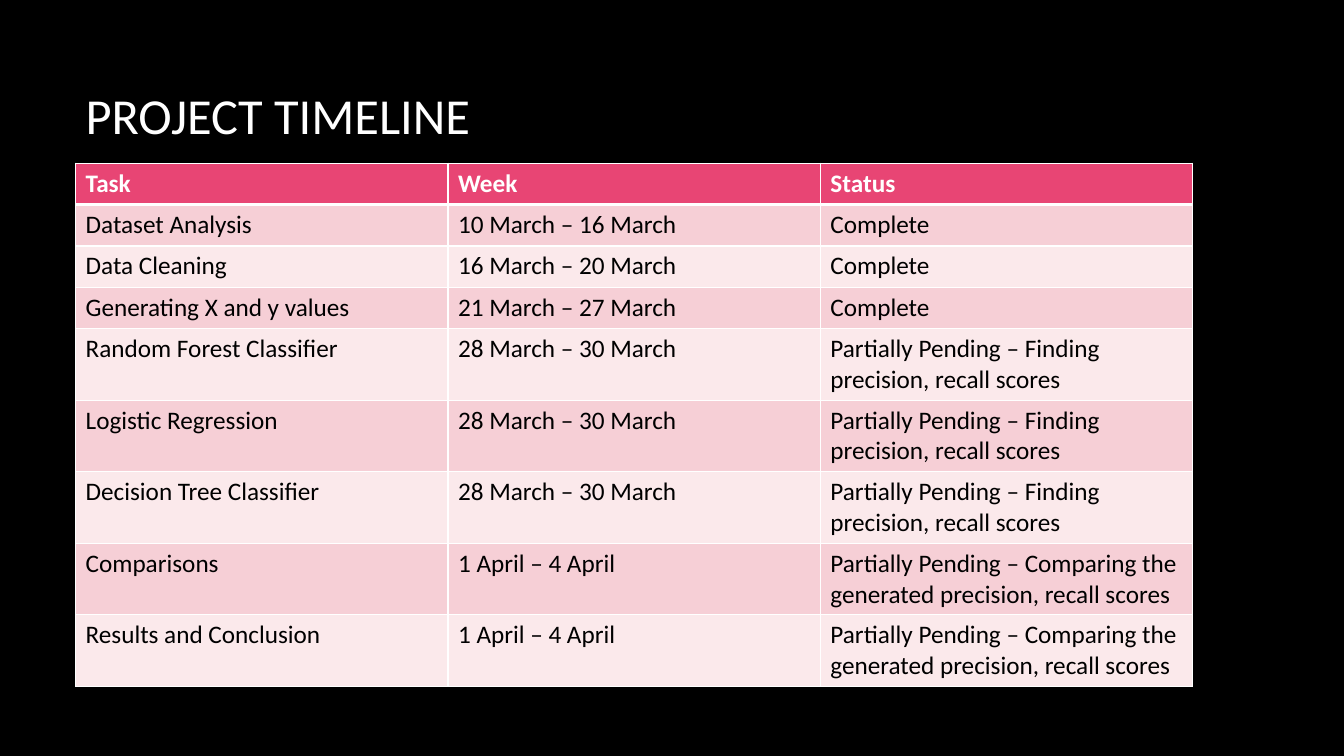
from dataclasses import dataclass

from lxml.etree import SubElement
from pptx import Presentation
from pptx.dml.color import RGBColor as Color
from pptx.enum.text import MSO_ANCHOR as Anchor
from pptx.oxml.ns import qn
from pptx.util import Inches, Pt


@dataclass(frozen=True)
class Theme:
    font: str = "Calibri"
    background: str = "000000"
    light: str = "FFFFFF"
    dark: str = "000000"
    header: str = "E84574"
    bands: tuple = ("F6CFD6", "FBE9EB")
    title_size: int = 36
    table_size: int = 18
    border: int = 1
    header_border: int = 3


THEME = Theme()
SLIDE_WIDTH, SLIDE_HEIGHT = Inches(13.33), Inches(7.5)
LEFT, CONTENT_WIDTH = Inches(0.75), Inches(11.08)
TITLE_TOP, TITLE_HEIGHT = Inches(0.34), Inches(1.59)
TABLE_TOP = Inches(1.62)
SHORT_ROW, TALL_ROW = Inches(0.41), Inches(0.71)
SHORT_ROW_COUNT = 4

PRECISION_PENDING = "Partially Pending – Finding precision, recall scores"
COMPARISON_PENDING = (
    "Partially Pending – Comparing the generated precision, recall scores"
)
TIMELINE = [
    ("Task", "Week", "Status"),
    ("Dataset Analysis", "10 March – 16 March", "Complete"),
    ("Data Cleaning", "16 March – 20 March", "Complete"),
    ("Generating X and y values", "21 March – 27 March", "Complete"),
    ("Random Forest Classifier", "28 March – 30 March", PRECISION_PENDING),
    ("Logistic Regression", "28 March – 30 March", PRECISION_PENDING),
    ("Decision Tree Classifier", "28 March – 30 March", PRECISION_PENDING),
    ("Comparisons", "1 April – 4 April", COMPARISON_PENDING),
    ("Results and Conclusion", "1 April – 4 April", COMPARISON_PENDING),
]


def set_attributes(target, values):
    for name, value in values.items():
        setattr(target, name, value)


def write_text(text_frame, text, size, color, bold=False):
    run = text_frame.paragraphs[0].add_run()
    run.text = text
    font_values = {"name": THEME.font, "size": Pt(size), "bold": bold}
    set_attributes(run.font, font_values)
    run.font.color.rgb = Color.from_string(color)


def fill_solid(fill, color):
    fill.solid()
    fill.fore_color.rgb = Color.from_string(color)


def draw_borders(cell, widths):
    """Add the side lines; call before filling, as the lines come first in XML."""
    properties = cell._tc.get_or_add_tcPr()
    for side, width in widths.items():
        line = SubElement(properties, qn(f"a:ln{side}"), w=str(Pt(width)))
        solid = SubElement(line, qn("a:solidFill"))
        SubElement(solid, qn("a:srgbClr"), val=THEME.light)


def add_title(slide, text):
    box = slide.shapes.add_textbox(LEFT, TITLE_TOP, CONTENT_WIDTH, TITLE_HEIGHT)
    frame_values = {"word_wrap": True, "vertical_anchor": Anchor.MIDDLE}
    set_attributes(box.text_frame, frame_values)
    write_text(box.text_frame, text, THEME.title_size, THEME.light)


def format_cell(cell, text, row_index):
    is_header = row_index == 0
    widths = dict.fromkeys("LRTB", THEME.border)
    if is_header:
        widths["B"] = THEME.header_border
    elif row_index == 1:
        widths["T"] = THEME.header_border
    draw_borders(cell, widths)
    band = THEME.bands[(row_index - 1) % len(THEME.bands)]
    fill_solid(cell.fill, THEME.header if is_header else band)
    color = THEME.light if is_header else THEME.dark
    write_text(cell.text_frame, text, THEME.table_size, color, bold=is_header)


def add_timeline_table(slide, rows):
    heights = [
        SHORT_ROW if index < SHORT_ROW_COUNT else TALL_ROW
        for index in range(len(rows))
    ]
    table = slide.shapes.add_table(
        len(rows), len(rows[0]), LEFT, TABLE_TOP, CONTENT_WIDTH, sum(heights)
    ).table
    for row_index, (texts, height) in enumerate(zip(rows, heights)):
        table.rows[row_index].height = height
        for column_index, text in enumerate(texts):
            format_cell(table.cell(row_index, column_index), text, row_index)


def main():
    presentation = Presentation()
    slide_size = {"slide_width": SLIDE_WIDTH, "slide_height": SLIDE_HEIGHT}
    set_attributes(presentation, slide_size)
    slide = presentation.slides.add_slide(presentation.slide_layouts[6])
    fill_solid(slide.background.fill, THEME.background)
    add_title(slide, "PROJECT TIMELINE")
    add_timeline_table(slide, TIMELINE)
    presentation.save("out.pptx")


if __name__ == "__main__":
    main()
